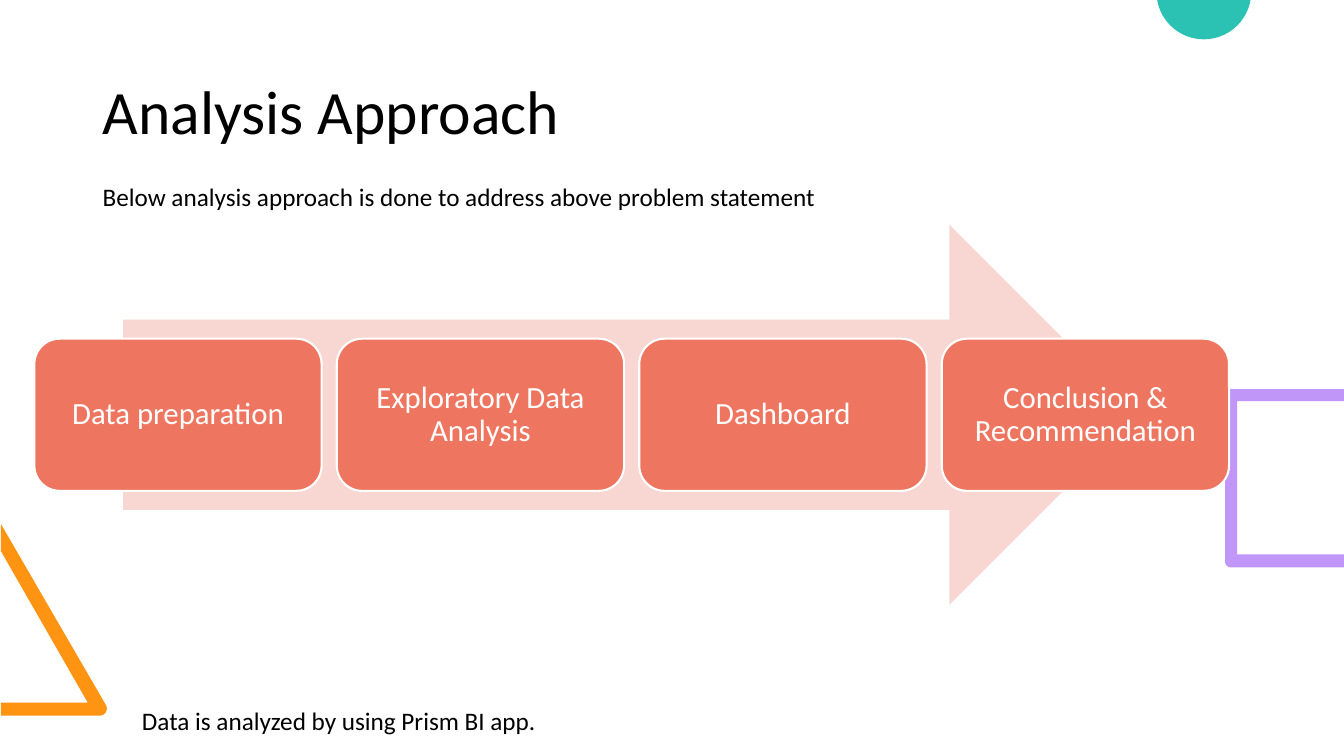
"""Builds the Analysis Approach slide: four process steps over a wide arrow."""
from math import cos, radians, sin

from pptx import Presentation
from pptx.dml.color import RGBColor
from pptx.enum.shapes import MSO_SHAPE
from pptx.enum.text import MSO_ANCHOR, PP_ALIGN
from pptx.util import Pt

PX = 9144
SLIDE_W, SLIDE_H = 1333, 750
FONT = "Calibri"

BLACK = RGBColor(0x00, 0x00, 0x00)
WHITE = RGBColor(0xFF, 0xFF, 0xFF)
ORANGE = RGBColor(0xFF, 0x94, 0x13)
TEAL = RGBColor(0x2B, 0xC2, 0xB4)
PURPLE = RGBColor(0xC0, 0x97, 0xF8)
PINK = RGBColor(0xF8, 0xD6, 0xD2)
CORAL = RGBColor(0xEE, 0x76, 0x60)

RIGHT_ARROW = MSO_SHAPE.RIGHT_ARROW
ROUND_RECT = MSO_SHAPE.ROUNDED_RECTANGLE
TOP, MIDDLE = MSO_ANCHOR.TOP, MSO_ANCHOR.MIDDLE
LEFT, CENTER = PP_ALIGN.LEFT, PP_ALIGN.CENTER

STEPS = ["Data preparation", "Exploratory Data Analysis", "Dashboard",
         "Conclusion & Recommendation"]
STEP_LEFT, STEP_PITCH = 34, 300


def arc(cx, cy, radius, start, end, count=8):
    """Return points along a circular arc, with angles in degrees clockwise."""
    angles = [radians(start + (end - start) * i / count) for i in range(count + 1)]
    return [(cx + radius * cos(a), cy + radius * sin(a)) for a in angles]


def paint(sp, fill):
    """Give a shape a plain fill with no line and no shadow."""
    sp.shadow.inherit = False
    sp.fill.solid()
    sp.fill.fore_color.rgb = fill
    sp.line.fill.background()


def add_outline(s, points, fill):
    """Draw a closed filled outline through the points."""
    first, *rest = [(round(x * PX), round(y * PX)) for x, y in points]
    builder = s.shapes.build_freeform(*first, scale=1.0)
    builder.add_line_segments(rest, close=True)
    paint(builder.convert_to_shape(), fill)


def add_block(s, kind, box, fill):
    """Draw a filled preset shape."""
    sp = s.shapes.add_shape(kind, *[v * PX for v in box])
    paint(sp, fill)
    return sp


def write(sp, text, size, color, align=LEFT, anchor=TOP, spacing=0.9):
    """Put one formatted paragraph into a shape."""
    tf = sp.text_frame
    tf.text = text
    tf.word_wrap = True
    tf.vertical_anchor = anchor
    p = tf.paragraphs[0]
    p.alignment = align
    p.line_spacing = spacing
    font = p.runs[0].font
    font.name, font.size, font.color.rgb = FONT, Pt(size), color


def add_text(s, box, text, size, **layout):
    """Add a black text box."""
    sp = s.shapes.add_textbox(*[v * PX for v in box])
    write(sp, text, size, BLACK, **layout)


def add_step(s, left, text):
    """Add one process step with a white border."""
    sp = add_block(s, ROUND_RECT, (left, 336, 285, 151), CORAL)
    sp.line.color.rgb = WHITE
    sp.line.width = Pt(1.5)
    tf = sp.text_frame
    tf.margin_left = tf.margin_right = tf.margin_top = tf.margin_bottom = 9 * PX
    write(sp, text, 22, WHITE, align=CENTER, anchor=MIDDLE)


def add_decorations(s):
    """Draw the triangle, disc and frame cut off by the slide edges."""
    triangle = [(1, 710), (1, 697), (87, 697), (1, 547), (1, 520)]
    add_outline(s, triangle + arc(99, 703, 7, -30, 90), ORANGE)
    add_outline(s, arc(1194, -8, 47, 10, 170, 32), TEAL)
    inner = [(SLIDE_W, 550), (1227, 550), (1227, 398), (SLIDE_W, 398), (SLIDE_W, 386)]
    corners = arc(1221, 392, 6, 270, 180) + arc(1221, 557, 6, 180, 90)
    add_outline(s, inner + corners + [(SLIDE_W, 563)], PURPLE)


def main():
    """Build and save the slide."""
    prs = Presentation()
    prs.slide_width, prs.slide_height = SLIDE_W * PX, SLIDE_H * PX
    s = prs.slides.add_slide(prs.slide_layouts[6])
    add_decorations(s)
    add_text(s, (92, 33, 1150, 161), "Analysis Approach", 44, anchor=MIDDLE)
    add_text(s, (92, 178, 1087, 492),
             "Below analysis approach is done to address above problem statement", 18)
    add_block(s, RIGHT_ARROW, (122, 223, 1008, 377), PINK)
    for i, step in enumerate(STEPS):
        add_step(s, STEP_LEFT + i * STEP_PITCH, step)
    add_text(s, (131, 695, 931, 40), "Data is analyzed by using Prism BI app.", 18,
             spacing=1.0)
    prs.save("out.pptx")


if __name__ == "__main__":
    main()
